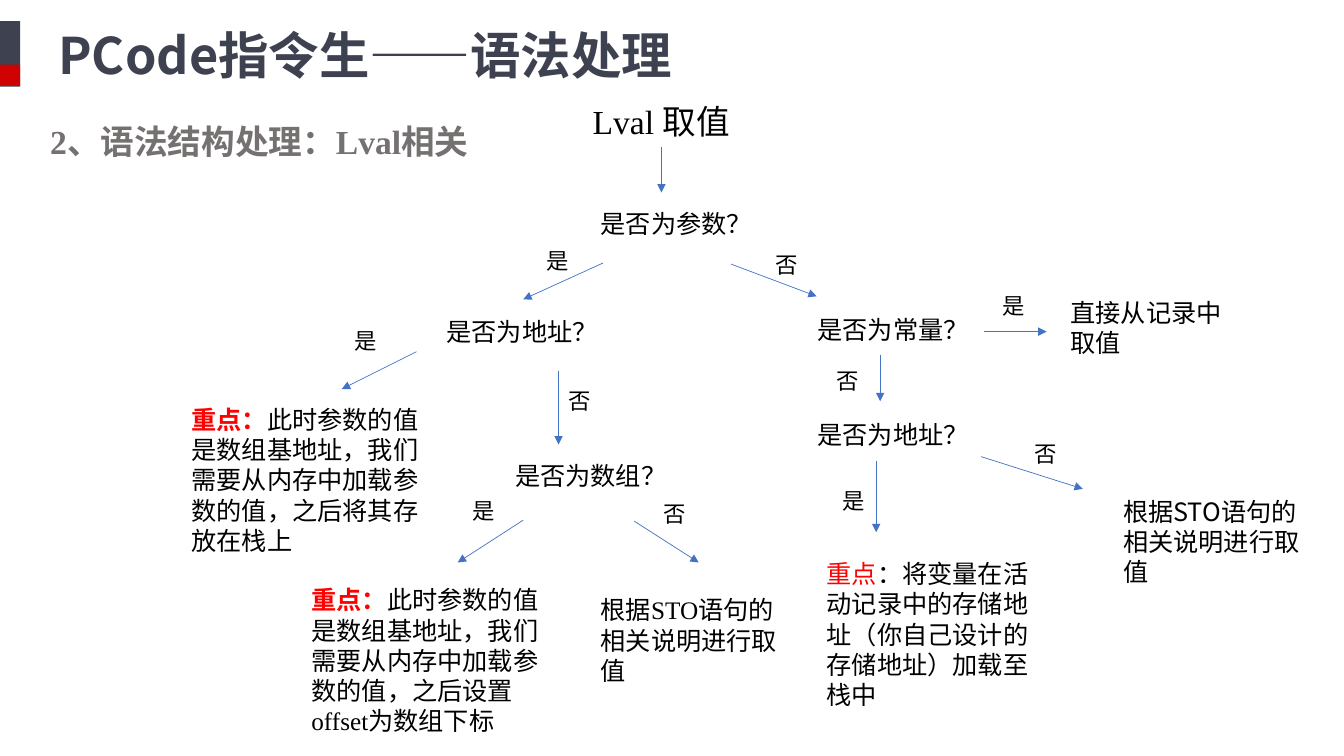
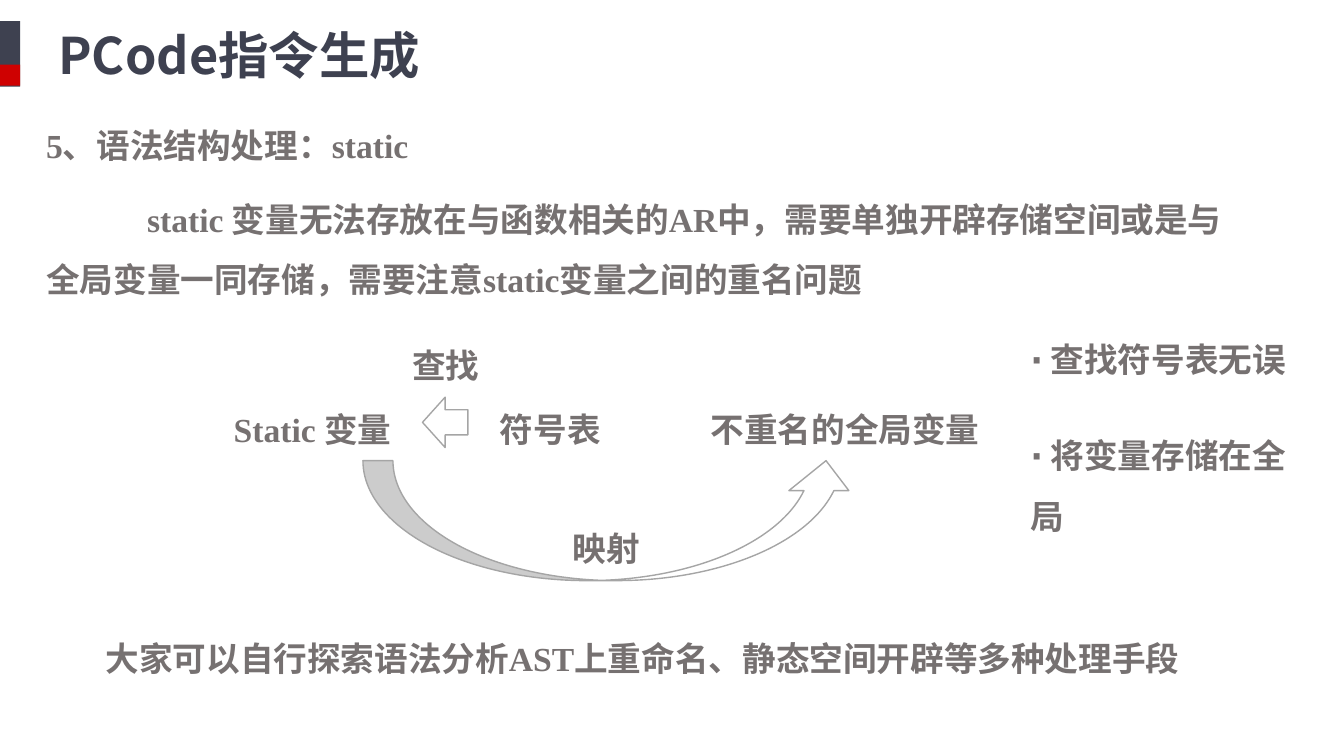
from lxml.etree import SubElement
from pptx import Presentation
from pptx.dml.color import RGBColor
from pptx.enum.shapes import MSO_CONNECTOR, MSO_SHAPE
from pptx.enum.text import MSO_AUTO_SIZE
from pptx.oxml.ns import qn
from pptx.util import Inches, Pt

SANS, SERIF = "Noto Sans CJK SC", "Times New Roman"
NAVY, RED, GRAY = "3E4150", "CF0101", "767171"
BLACK, KEY_RED, BLUE = "000000", "FF0000", "4472C4"
WHITE, OUTLINE = "FFFFFF", "A5A5A5"


def paint(fmt, color):
    """Give a fill, line or font one solid colour."""
    if hasattr(fmt, "solid"):
        fmt.solid()
        fmt = fmt.fore_color
    else:
        fmt = fmt.color
    fmt.rgb = RGBColor.from_string(color)


def add_text(s, box, paragraphs, size=18, color=BLACK, bold=False, font=SANS, spacing=None, indent=0):
    """Each paragraph is a string or a list of (text, colour, bold) runs."""
    tf = s.shapes.add_textbox(*map(Inches, box)).text_frame
    tf.word_wrap = True
    tf.auto_size = MSO_AUTO_SIZE.SHAPE_TO_FIT_TEXT
    for i, runs in enumerate(paragraphs):
        p = tf.add_paragraph() if i else tf.paragraphs[0]
        if spacing:
            p.line_spacing = spacing
        if indent:
            p._p.get_or_add_pPr().set("indent", str(Inches(indent)))
        if isinstance(runs, str):
            runs = [(runs, color, bold)]
        for text, run_color, run_bold in runs:
            r = p.add_run()
            r.text = text
            r.font.size = Pt(size)
            r.font.bold = run_bold
            r.font.name = font
            paint(r.font, run_color)
            SubElement(r._r.get_or_add_rPr(), qn("a:ea"), typeface=SANS)


prs = Presentation()
prs.slide_width, prs.slide_height = Inches(13.33), Inches(7.5)

# Shared side band and title
slides = []
for title in ["PCode指令生——语法处理", "PCode指令生成"]:
    s = prs.slides.add_slide(prs.slide_layouts[6])
    band = s.shapes.add_group_shape()
    for top, height, color in [(0.21, 0.65, NAVY), (0.64, 0.21, RED)]:
        sp = band.shapes.add_shape(MSO_SHAPE.RECTANGLE, 0, Inches(top), Inches(0.2), Inches(height))
        sp.shadow.inherit = False
        paint(sp.fill, color)
        sp.line.fill.background()
    add_text(s, (0.48, 0.19, 8.01, 0.71), [title], 36, NAVY, True)
    slides.append(s)
tree, static = slides

body = dict(size=24, color=GRAY, bold=True, font=SERIF, spacing=1.5)

# Slide 1: decision tree for Lval
add_text(tree, (0.4, 0.95, 9.76, 0.63), ["2、语法结构处理：Lval相关"], **body)
add_text(tree, (5.78, 0.95, 1.9, 0.5), ["Lval 取值"], 24, font=SERIF)

questions = [
    (5.86, 2.02, "是否为参数？"),
    (4.33, 3.09, "是否为地址？"),
    (8.01, 3.07, "是否为常量？"),
    (8.01, 4.11, "是否为地址？"),
    (5.01, 4.52, "是否为数组？"),
]
for x, y, question in questions:
    add_text(tree, (x, y, 2.74, 0.4), [question])

branches = [
    (5.32, 2.4, "是"), (7.59, 2.44, "否"),
    (3.42, 3.2, "是"), (5.54, 3.79, "否"),
    (9.84, 2.85, "是"), (8.2, 3.59, "否"),
    (8.26, 4.78, "是"), (10.16, 4.32, "否"),
    (4.59, 4.88, "是"), (6.48, 4.91, "否"),
]
for x, y, answer in branches:
    add_text(tree, (x, y, 0.44, 0.37), [answer], 16)

base_address = "此时参数的值是数组基地址，我们需要从内存中加载参数的值，"
sto_rule = "根据STO语句的相关说明进行取值"
outcomes = [
    ((10.52, 2.9, 1.9, 0.71), SANS, ["直接从记录中", "取值"]),
    ((11.04, 4.87, 2.16, 1.01), SANS, [sto_rule]),
    ((5.86, 5.85, 2.16, 1.01), SERIF, [sto_rule]),
    ((1.8, 3.96, 2.48, 1.62), SANS,
     [[("重点：", KEY_RED, True), (base_address + "之后将其存放在栈上", BLACK, False)]]),
    ((2.99, 5.75, 2.48, 1.62), SERIF,
     [[("重点：", KEY_RED, True), (base_address + "之后设置offset为数组下标", BLACK, False)]]),
    ((8.1, 5.49, 2.41, 1.62), SANS,
     [[("重点", KEY_RED, False),
       ("：将变量在活动记录中的存储地址（你自己设计的存储地址）加载至栈中", BLACK, False)]]),
]
for box, font, paragraphs in outcomes:
    add_text(tree, box, paragraphs, font=font)

arrows = [
    (6.56, 1.46, 6.56, 1.91),
    (5.98, 2.61, 5.19, 2.97), (7.25, 2.62, 8.1, 2.94),
    (4.13, 3.49, 3.39, 3.86), (5.54, 3.68, 5.54, 4.41),
    (9.76, 3.29, 10.38, 3.29), (8.73, 3.52, 8.73, 3.98),
    (8.69, 4.57, 8.69, 5.28), (9.73, 4.53, 10.74, 4.85),
    (5.19, 5.16, 4.54, 5.58), (6.29, 5.17, 6.93, 5.58),
]
for ends in arrows:
    arrow = tree.shapes.add_connector(MSO_CONNECTOR.STRAIGHT, *map(Inches, ends))
    paint(arrow.line, BLUE)
    arrow.line.width = Pt(0.5)
    SubElement(arrow.line._get_or_add_ln(), qn("a:tailEnd"), type="triangle")
    SubElement(arrow._element.spPr, qn("a:effectLst"))

# Slide 2: static variables
add_text(static, (0.36, 1.72, 12.11, 1.24),
         ["static 变量无法存放在与函数相关的AR中，需要单独开辟存储空间或是与全局变量一同存储，"
          "需要注意static变量之间的重名问题"], indent=1, **body)

block_arrows = [
    (MSO_SHAPE.LEFT_ARROW, (4.19, 3.94, 0.45, 0.5)),
    (MSO_SHAPE.CURVED_UP_ARROW, (3.6, 4.57, 4.89, 1.19)),
]
for kind, box in block_arrows:
    sp = static.shapes.add_shape(kind, *map(Inches, box))
    sp.shadow.inherit = False
    paint(sp.fill, WHITE)
    paint(sp.line, OUTLINE)
    sp.line.width = Pt(1)

static_texts = [
    ((0.36, 0.99, 9.76, 0.63), "5、语法结构处理：static"),
    ((2.22, 3.81, 2.16, 0.63), "Static 变量"),
    ((4.86, 3.81, 1.68, 0.63), "符号表"),
    ((6.95, 3.81, 3.42, 0.63), "不重名的全局变量"),
    ((3.99, 3.17, 1.09, 0.63), "查找"),
    ((5.58, 4.99, 1.09, 0.63), "映射"),
    ((10.12, 3.11, 2.85, 0.63), "∙ 查找符号表无误"),
    ((10.12, 4.07, 2.85, 1.24), "∙ 将变量存储在全局"),
    ((0.95, 6.08, 11.74, 0.63), "大家可以自行探索语法分析AST上重命名、静态空间开辟等多种处理手段"),
]
for box, text in static_texts:
    add_text(static, box, [text], **body)

prs.save("out.pptx")
